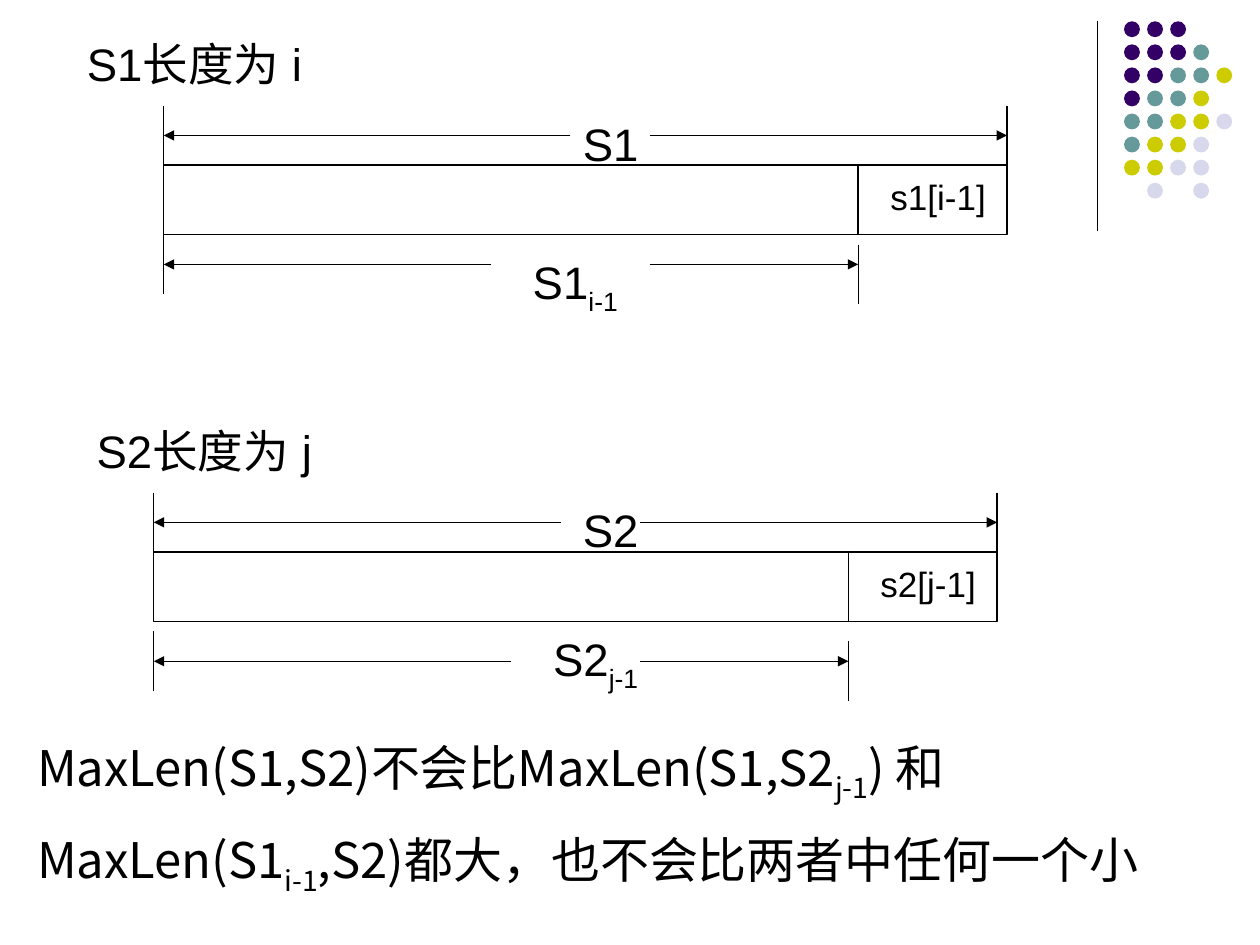
from lxml.etree import SubElement
from pptx import Presentation
from pptx.dml.color import RGBColor
from pptx.enum.shapes import MSO_CONNECTOR as Link, MSO_SHAPE as Preset
from pptx.enum.text import MSO_AUTO_SIZE as AutoSize
from pptx.oxml.ns import qn
from pptx.util import Cm, Pt

BLACK = RGBColor(0x00, 0x00, 0x00)
PURPLE = RGBColor(0x33, 0x00, 0x66)
TEAL = RGBColor(0x66, 0x99, 0x99)
OLIVE = RGBColor(0xCC, 0xCC, 0x00)
LILAC = RGBColor(0xD8, 0xD8, 0xEC)
LATIN = "Arial"
CHINESE = "Noto Sans CJK SC"

deck = Presentation()
deck.slide_width, deck.slide_height = Cm(25.4), Cm(19.05)
slide = deck.slides.add_slide(deck.slide_layouts[6])
shapes = slide.shapes


def draw_line(x1, y1, x2, y2, arrow=False):
    stroke = shapes.add_connector(Link.STRAIGHT, Cm(x1), Cm(y1), Cm(x2), Cm(y2))
    stroke.line.color.rgb = BLACK
    stroke.line.width = Pt(0.75)
    if arrow:
        SubElement(stroke.line._get_or_add_ln(), qn("a:tailEnd"), type="triangle")
    SubElement(stroke._element.spPr, qn("a:effectLst"))


def write(lines, left, top, width, height, size, face=LATIN, inset=0.2):
    box = shapes.add_textbox(Cm(left), Cm(top), Cm(width), Cm(height))
    frame = box.text_frame
    frame.word_wrap = True
    frame.margin_top = Cm(inset)
    style = {"size": Pt(size), "name": face}
    for row, parts in enumerate(lines):
        paragraph = frame.add_paragraph() if row else frame.paragraphs[0]
        for index, part in enumerate(parts):
            run = paragraph.add_run()
            run.text = part
            for key, value in style.items():
                setattr(run.font, key, value)
            run.font.color.rgb = BLACK
            properties = run._r.get_or_add_rPr()
            SubElement(properties, qn("a:ea"), typeface=face)
            if index % 2:
                properties.set("baseline", "-25000")
    return frame


draw_line(22.12, 0.43, 22.12, 4.65)
dot_colours = {"P": PURPLE, "T": TEAL, "Y": OLIVE, "L": LILAC}
dot_rows = ["PPP", "PPPT", "PPTTY", "PTTY", "TTYYL", "TYYL", "YYLL", " L L"]
pitch = 0.465
for row, letters in enumerate(dot_rows):
    for column, letter in enumerate(letters):
        if letter in dot_colours:
            dot = shapes.add_shape(
                Preset.OVAL, Cm(22.66 + column * pitch), Cm(0.43 + row * pitch), Cm(0.32), Cm(0.32)
            )
            dot.shadow.inherit = False
            dot.fill.solid()
            dot.fill.fore_color.rgb = dot_colours[letter]
            dot.line.fill.background()

PREFIX, CELL, BAR = 14, 3, 1.4
strings = [
    {"name": "S1", "index": "i", "left": 3.3, "top": 3.33, "drop": 0, "break": 6.6,
     "title_left": 1.5, "name_width": 1.8, "prefix_box": (10.49, 1.6, 1.6)},
    {"name": "S2", "index": "j", "left": 3.1, "top": 11.13, "drop": 0.2, "break": 7.2,
     "title_left": 1.7, "name_width": 2.6, "prefix_box": (10.9, 1.4, 2.2)},
]
for string in strings:
    name, index = string["name"], string["index"]
    left, top = string["left"], string["top"]
    split, right = left + PREFIX, left + PREFIX + CELL
    for start, width in ((left, PREFIX), (split, CELL)):
        bar = shapes.add_shape(Preset.RECTANGLE, Cm(start), Cm(top), Cm(width), Cm(BAR))
        bar.shadow.inherit = False
        bar.fill.background()
        bar.line.color.rgb = BLACK
        bar.line.width = Pt(0.75)

    below = top + BAR + string["drop"]
    for x, y in ((left, top - 1.2), (right, top - 1.2), (left, below), (split, below + 0.2)):
        draw_line(x, y, x, y + 1.2)
    for gap, end, y in ((8.2, right, top - 0.6), (string["break"], split, below + 0.6)):
        draw_line(left + gap, y, left, y, arrow=True)
        draw_line(left + 9.8, y, end, y, arrow=True)

    prefix_left, prefix_drop, prefix_height = string["prefix_box"]
    write([[f"{name}长度为 {index}"]], string["title_left"], top - 2.8, 11.8, 1, 26)
    write([[name]], 11.5, top - 1.2, string["name_width"], 1, 26)
    write([[f"{name.lower()}[{index}-1]"]], left + 14.4, top, 2.6, 1, 20)
    write([[name, f"{index}-1"]], prefix_left, top + prefix_drop, 3.2, prefix_height, 26)

conclusion = write(
    [
        ["MaxLen(S1,S2)不会比MaxLen(S1,S2", "j-1", ") 和"],
        ["MaxLen(S1", "i-1", ",S2)都大，也不会比两者中任何一个小"],
    ],
    0.5, 14.73, 24.4, 3.58, 28, CHINESE, 0.13,
)
conclusion.auto_size = AutoSize.SHAPE_TO_FIT_TEXT
for paragraph in conclusion.paragraphs:
    paragraph.line_spacing = 0.93
conclusion.paragraphs[1].space_before = Pt(17.5)

deck.save("out.pptx")
